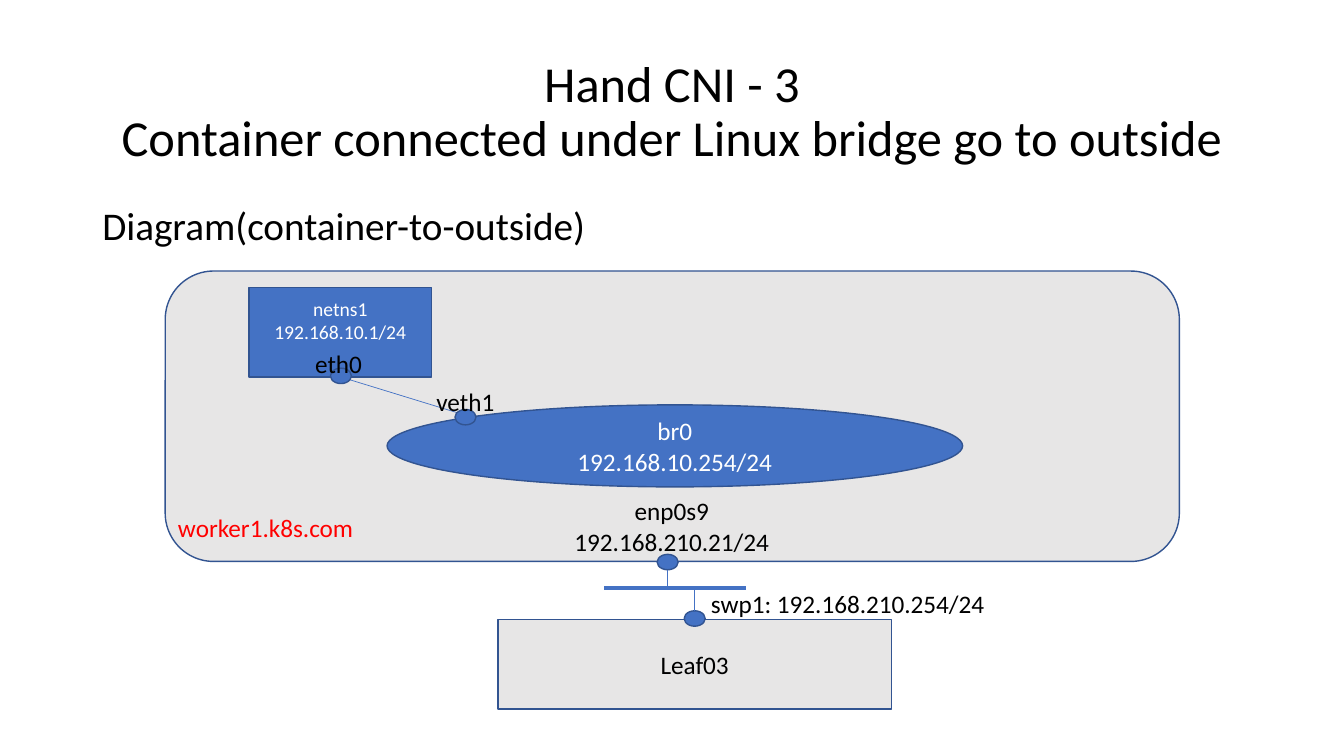
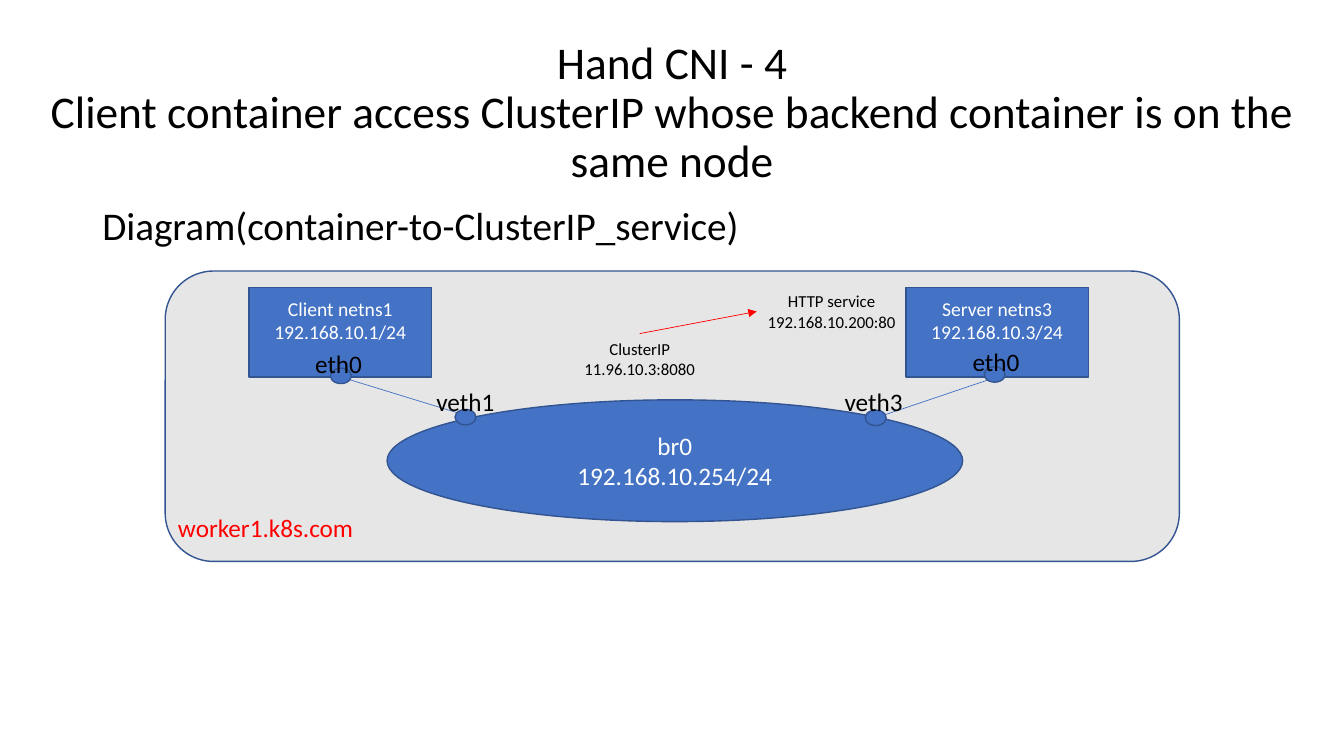
"""Build two container network diagrams as a presentation."""
from dataclasses import dataclass

from lxml.etree import SubElement
from pptx import Presentation
from pptx.dml.color import RGBColor
from pptx.enum.shapes import MSO_CONNECTOR, MSO_SHAPE as Preset
from pptx.enum.text import MSO_ANCHOR as Anchor, PP_ALIGN as Align
from pptx.oxml.ns import qn
from pptx.shapes.autoshape import Shape
from pptx.shapes.connector import Connector
from pptx.slide import Slide
from pptx.util import Pt

FONT = "Calibri"
BLACK = RGBColor(0x00, 0x00, 0x00)
WHITE = RGBColor(0xFF, 0xFF, 0xFF)
RED = RGBColor(0xFF, 0x00, 0x00)
BLUE = RGBColor(0x44, 0x72, 0xC4)
OUTLINE = RGBColor(0x32, 0x54, 0x91)
GRAY = RGBColor(0xE7, 0xE6, 0xE6)
TOP, LEFT, BOTTOM = 0, 1, 2
INSET = 3.6
PORT_WIDTH, PORT_HEIGHT = 15, 11


@dataclass(frozen=True)
class Area:
    left: float
    top: float
    width: float
    height: float


@dataclass(frozen=True)
class Point:
    x: float
    y: float


@dataclass(frozen=True)
class Container:
    text: str
    left: float
    port: Point
    port_label: Point
    bridge_port: Point
    link_end: Point
    bridge_label: Point
    bridge_name: str


NODE = Area(118, 193.6, 724.4, 207.4)
CLIENT_PLACES = (178, Point(236, 263), Point(218, 245.5),
                 Point(325, 292.5), Point(337, 298), Point(304.6, 272.2), "veth1")
SERVER_PLACES = (647.2, Point(703, 262), Point(687.6, 244),
                 Point(618, 293), Point(627, 298), Point(596.2, 272.2), "veth3")


def write(shape: Shape, text: str, *, size: float = 18, color: RGBColor = BLACK,
          align: Align = Align.CENTER, anchor: Anchor = Anchor.TOP,
          spacing: float = 1.0, bottom: float = INSET) -> None:
    frame = shape.text_frame
    frame.word_wrap = True
    frame.vertical_anchor = anchor
    frame.margin_bottom = Pt(bottom)
    frame.text = text
    for paragraph in frame.paragraphs:
        paragraph.alignment = align
        paragraph.line_spacing = spacing
        font = paragraph.font
        font.name, font.size = FONT, Pt(size)
        font.color.rgb = color
        for run in paragraph.runs:
            run.font.name, run.font.size = FONT, Pt(size)
            run.font.color.rgb = color


def bounds(area: Area) -> tuple[Pt, Pt, Pt, Pt]:
    return Pt(area.left), Pt(area.top), Pt(area.width), Pt(area.height)


def add_label(slide: Slide, area: Area, text: str, **text_format) -> Shape:
    label = slide.shapes.add_textbox(*bounds(area))
    write(label, text, **text_format)
    return label


def add_block(slide: Slide, preset: Preset, area: Area, fill: RGBColor = BLUE,
              text: str = "", **text_format) -> Shape:
    block = slide.shapes.add_shape(preset, *bounds(area))
    block.shadow.inherit = False
    block.fill.solid()
    block.fill.fore_color.rgb = fill
    block.line.color.rgb = OUTLINE
    block.line.width = Pt(1)
    if text:
        write(block, text, anchor=Anchor.MIDDLE, **text_format)
    return block


def add_port(slide: Slide, corner: Point) -> Shape:
    return add_block(slide, Preset.OVAL,
                     Area(corner.x, corner.y, PORT_WIDTH, PORT_HEIGHT))


def add_line(slide: Slide, start: Point, end: Point, color: RGBColor = BLUE,
             width: float = 0.5, arrow: bool = False) -> Connector:
    line = slide.shapes.add_connector(
        MSO_CONNECTOR.STRAIGHT, Pt(start.x), Pt(start.y), Pt(end.x), Pt(end.y))
    line.line.color.rgb = color
    line.line.width = Pt(width)
    properties = line._element.spPr
    if arrow:
        SubElement(properties.find(qn("a:ln")), qn("a:tailEnd"), type="triangle")
    SubElement(properties, qn("a:effectLst"))
    return line


def add_container(slide: Slide, container: Container) -> None:
    area = Area(container.left, 205.2, 130.2, 64)
    box = add_block(slide, Preset.RECTANGLE, area, text=container.text,
                    size=14, color=WHITE, bottom=INSET + 17)
    middle = Point(area.left + area.width / 2, area.top + area.height)
    add_line(slide, middle, container.link_end).begin_connect(box, BOTTOM)
    for corner in (container.port, container.bridge_port):
        add_port(slide, corner)
    for corner, width, name in (
            (container.port_label, 49.7, "eth0"),
            (container.bridge_label, 65.5, container.bridge_name)):
        add_label(slide, Area(corner.x, corner.y, width, 29), name, align=Align.LEFT)


def add_diagram(presentation: Presentation, title: str, title_size: float,
                heading: str, bridge: Area, containers: list[Container]) -> Slide:
    slide = presentation.slides.add_slide(presentation.slide_layouts[6])
    add_label(slide, Area(0, 28.8, 960, 104.4), title, size=title_size,
              anchor=Anchor.MIDDLE, spacing=0.9)
    add_label(slide, Area(66, 144, 828, 342.7), heading, size=28,
              align=Align.LEFT, spacing=0.9)
    add_block(slide, Preset.ROUNDED_RECTANGLE, NODE, GRAY)
    add_block(slide, Preset.OVAL, bridge, text="br0\n192.168.10.254/24", color=WHITE)
    for container in containers:
        add_container(slide, container)
    add_label(slide, Area(112.3, 362.2, 154.8, 29), "worker1.k8s.com", color=RED)
    return slide


def add_outside_network(slide: Slide) -> None:
    segment_y = 419.8
    add_port(slide, Point(469.4, 396))
    add_label(slide, Area(402.5, 350.6, 154.8, 51), "enp0s9\n192.168.210.21/24")
    add_label(slide, Area(495.4, 416.9, 220.3, 29), "swp1: 192.168.210.254/24")
    add_line(slide, Point(476.9, 407), Point(476.9, segment_y))
    add_block(slide, Preset.RECTANGLE, Area(355.7, 442.4, 281, 64), GRAY, "Leaf03")
    add_port(slide, Point(488.7, 436.3))
    add_line(slide, Point(532.8, segment_y), Point(431.3, segment_y), width=3)
    add_line(slide, Point(496.2, segment_y), Point(496.2, 436.3))


def add_service(slide: Slide) -> None:
    cluster = add_label(slide, Area(381, 238.3, 152, 36),
                        "ClusterIP\n11.96.10.3:8080", size=12)
    service = add_label(slide, Area(540.5, 204.5, 107, 36),
                        "HTTP service\n192.168.10.200:80", size=12)
    arrow = add_line(slide, Point(457, 238.3), Point(540.5, 222.5), RED, arrow=True)
    arrow.begin_connect(cluster, TOP)
    arrow.end_connect(service, LEFT)


def main() -> None:
    presentation = Presentation()
    presentation.slide_width, presentation.slide_height = Pt(960), Pt(540)
    outside = add_diagram(
        presentation,
        "Hand CNI - 3\nContainer connected under Linux bridge go to outside", 36,
        "Diagram(container-to-outside)", Area(276.5, 289.2, 411.1, 58.6),
        [Container("netns1\n192.168.10.1/24", *CLIENT_PLACES)])
    add_outside_network(outside)
    same_node = add_diagram(
        presentation,
        "Hand CNI - 4\nClient container access ClusterIP whose backend container"
        " is on the same node", 32.4,
        "Diagram(container-to-ClusterIP_service)", Area(276.5, 285.6, 411.1, 87),
        [Container("Client netns1\n192.168.10.1/24", *CLIENT_PLACES),
         Container("Server netns3\n192.168.10.3/24", *SERVER_PLACES)])
    add_service(same_node)
    presentation.save("out.pptx")


if __name__ == "__main__":
    main()
